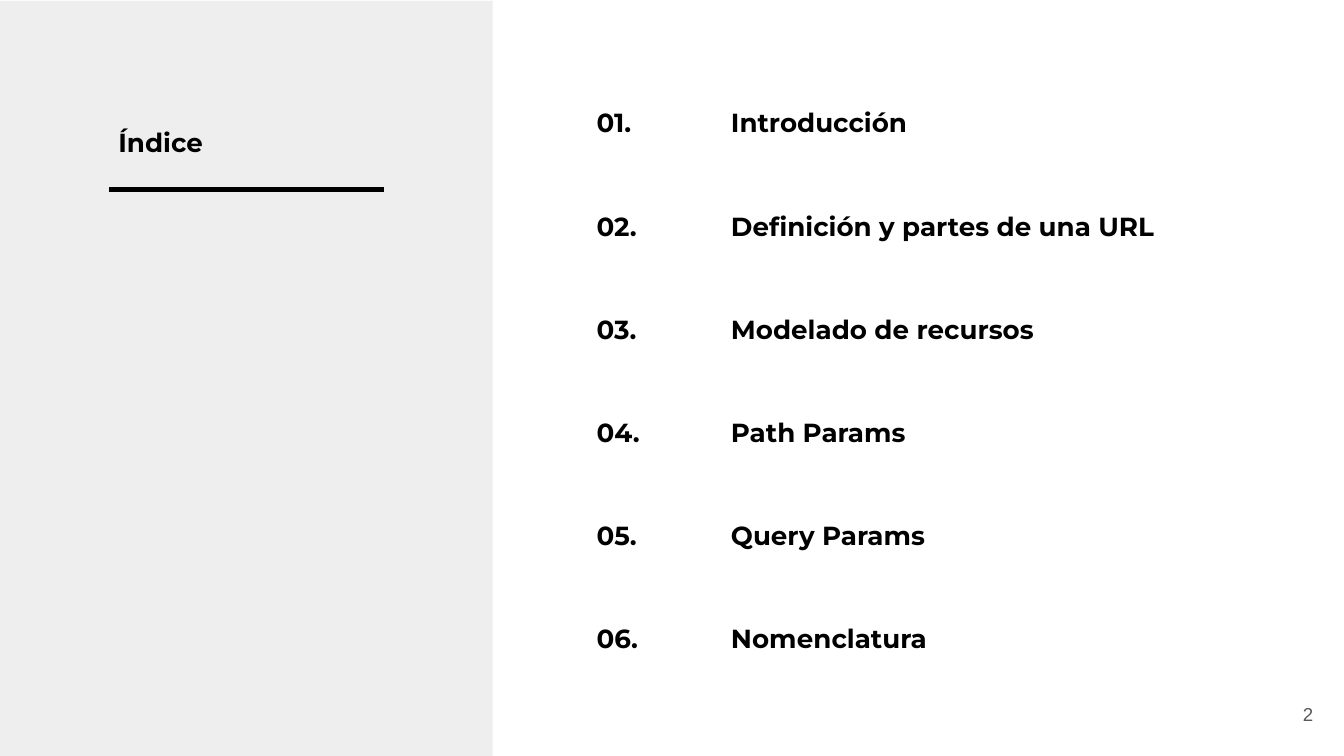
import pptx
import pptx.util
import pptx.dml.color
import pptx.enum.shapes
import pptx.enum.text
import pptx.oxml
import pptx.oxml.ns

Pt = pptx.util.Pt
COLORS = {"background": "FFFFFF", "panel": "EEEEEE", "ink": "000000", "number": "595959"}
TOPICS = [
    "Introducción",
    "Definición y partes de una URL",
    "Modelado de recursos",
    "Path Params",
    "Query Params",
    "Nomenclatura",
]


class SlideBuilder:
    font = "Montserrat"
    size = 14
    inset = 7.2

    def __init__(self, slide):
        self.slide = slide
        background = slide.background.fill
        background.solid()
        background.fore_color.rgb = self.color("background")

    def color(self, key):
        return pptx.dml.color.RGBColor.from_string(COLORS[key])

    def panel(self, left, top, width, height):
        panel = self.slide.shapes.add_shape(
            pptx.enum.shapes.MSO_SHAPE.RECTANGLE, Pt(left), Pt(top), Pt(width), Pt(height))
        panel.shadow.inherit = False
        panel.fill.solid()
        panel.fill.fore_color.rgb = self.color("panel")
        panel.line.fill.background()

    def rule(self, left, right, top, weight):
        rule = self.slide.shapes.add_connector(
            pptx.enum.shapes.MSO_CONNECTOR.STRAIGHT, Pt(left), Pt(top), Pt(right), Pt(top))
        rule.line.color.rgb = self.color("ink")
        rule.line.width = Pt(weight)
        rule._element.spPr.append(pptx.oxml.parse_xml(
            f'<a:effectLst {pptx.oxml.ns.nsdecls("a")}/>'))

    def text(self, wording, left, top, width, height, font=None, size=None, color="ink", bold=True):
        box = self.slide.shapes.add_textbox(Pt(left), Pt(top), Pt(width), Pt(height))
        frame = box.text_frame
        frame.word_wrap = True
        frame.margin_left = frame.margin_right = Pt(self.inset)
        frame.margin_top = frame.margin_bottom = Pt(self.inset)
        frame.text = wording
        run = frame.paragraphs[0].runs[0]
        run.font.name = font or self.font
        run.font.size = Pt(size or self.size)
        run.font.bold = bold
        run.font.color.rgb = self.color(color)
        return frame

    def topic(self, number, title, left, top, width, height, tab):
        frame = self.text(f"{number:02d}.\t{title}", left, top, width, height)
        paragraph = frame.paragraphs[0]
        paragraph.line_spacing = 1.15
        paragraph._p.get_or_add_pPr().append(pptx.oxml.parse_xml(
            f'<a:tabLst {pptx.oxml.ns.nsdecls("a")}><a:tab pos="{Pt(tab)}" algn="l"/></a:tabLst>'))

    def page_number(self, number, left, top, width, height):
        frame = self.text(str(number), left, top, width, height,
                          font="Arial", size=10, color="number", bold=False)
        frame.vertical_anchor = pptx.enum.text.MSO_ANCHOR.MIDDLE
        frame.paragraphs[0].alignment = pptx.enum.text.PP_ALIGN.RIGHT


def main():
    presentation = pptx.Presentation()
    presentation.slide_width = Pt(720)
    presentation.slide_height = Pt(405)
    builder = SlideBuilder(presentation.slides.add_slide(presentation.slide_layouts[6]))

    builder.panel(0, 0.5, 264, 405)
    builder.text("Índice", 56.3, 60.5, 141, 31.7)
    builder.rule(58.3, 205.9, 101.5, 3)
    builder.page_number(2, 667.4, 367.2, 43.2, 31)

    first_top, pitch = 47.5, 55.3
    for index, title in enumerate(TOPICS):
        builder.topic(index + 1, title, 312.5, first_top + index * pitch, 342, 33.8, tab=72)

    presentation.save("out.pptx")


if __name__ == "__main__":
    main()
